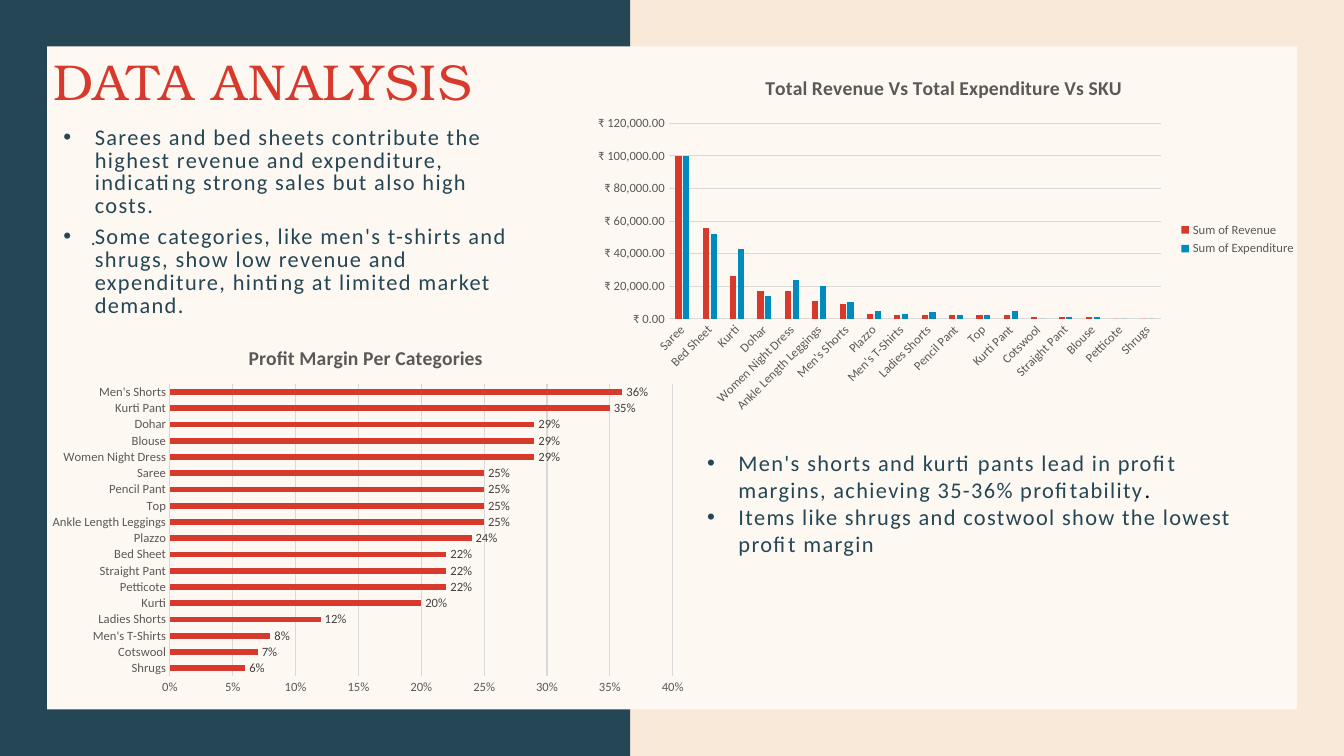
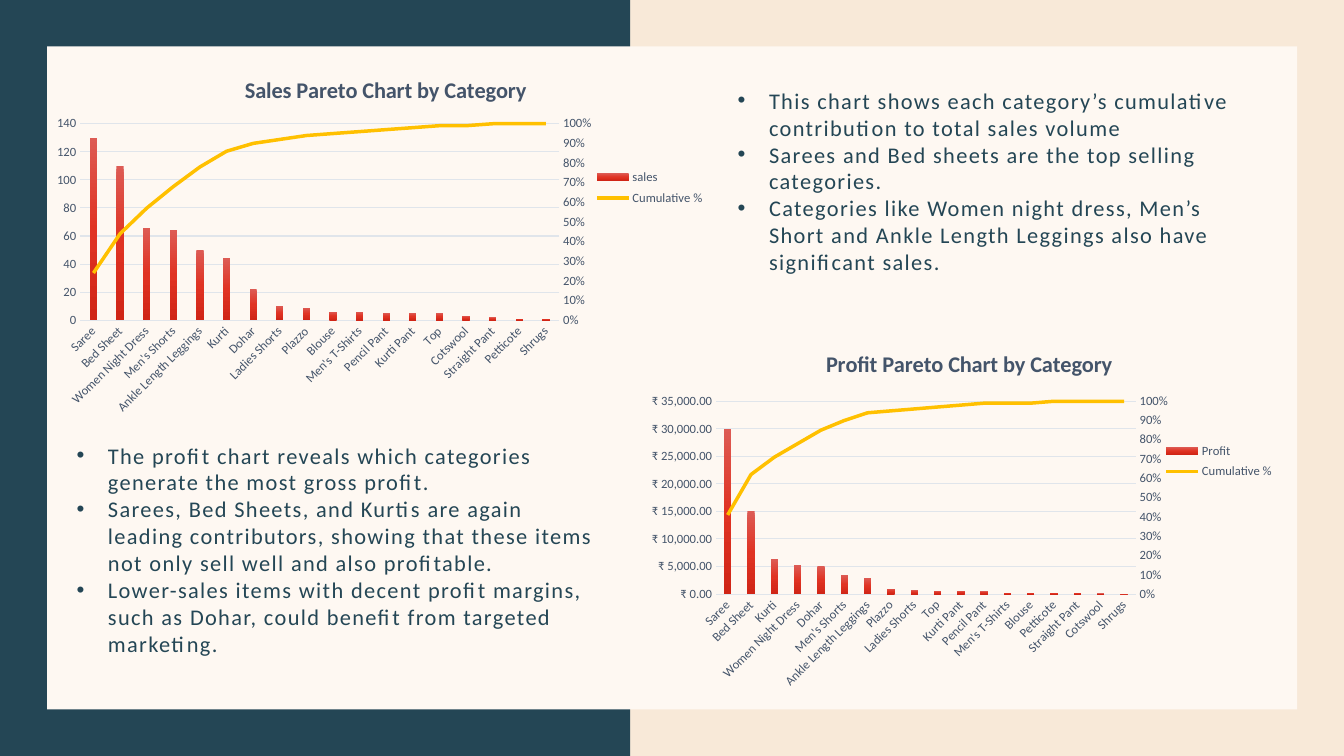
from copy import deepcopy
from dataclasses import dataclass

from pptx import Presentation
from pptx.chart.axis import ValueAxis
from pptx.chart.data import CategoryChartData
from pptx.dml.color import RGBColor
from pptx.enum.chart import (XL_CHART_TYPE, XL_LABEL_POSITION, XL_LEGEND_POSITION,
                             XL_MARKER_STYLE, XL_TICK_MARK)
from pptx.enum.shapes import MSO_SHAPE
from pptx.enum.text import MSO_ANCHOR, MSO_AUTO_SIZE, PP_ALIGN
from pptx.oxml import parse_xml
from pptx.oxml.ns import nsdecls
from pptx.util import Cm, Pt


@dataclass(frozen=True)
class Theme:
    sand: str = "F8E9D8"
    navy: str = "244655"
    cream: str = "FEF8F2"
    red: str = "D73A2C"
    blue: str = "008BBF"
    gold: str = "FFC000"
    black: str = "000000"
    label: str = "404040"
    grey: str = "595959"
    grey_line: str = "D9D9D9"
    slate: str = "44546A"
    slate_line: str = "E0E5EB"
    gradient: tuple = ((0, "DD5B54"), (0.5, "E03323"), (1, "D02516"))
    heading_font: str = "TeX Gyre Bonum"
    body_font: str = "Calibri"
    title_size: int = 36
    body_size: int = 16
    small_size: int = 14
    chart_title_size: int = 14
    pareto_title_size: int = 16
    chart_size: int = 10
    axis_size: int = 9


RUPEES = '"₹"\\ #,##0.00'
PERCENT = "0%"
WIDE_INSETS = (0.33, 0.18)
BOX_INSETS = (0.25, 0.13)


def place(shape, area):
    shape.left, shape.top, shape.width, shape.height = map(Cm, area)


def set_layout(parent, area, anchor=None, inner=False):
    """Give a plot area or legend a fixed place, in fractions of the chart."""
    for old in parent.xpath("c:layout"):
        parent.remove(old)
    target = '<c:layoutTarget val="inner"/>' if inner else ""
    modes = '<c:xMode val="edge"/><c:yMode val="edge"/>'
    values = "".join(f'<c:{key} val="{value}"/>' for key, value in zip("xywh", area))
    layout = parse_xml(f'<c:layout {nsdecls("c")}><c:manualLayout>{target}{modes}'
                       f'{values}</c:manualLayout></c:layout>')
    if anchor is None:
        parent.insert(0, layout)
    else:
        anchor.addnext(layout)


class Builder:
    def __init__(self, theme):
        self.theme = theme
        self.deck = Presentation()
        self.deck.slide_width, self.deck.slide_height = Cm(33.87), Cm(19.05)
        self.page = None

    def new_page(self):
        self.page = self.deck.slides.add_slide(self.deck.slide_layouts[3])

    def draw_master(self):
        """Put the background, side band and panel on the slide master."""
        master = self.deck.slide_master
        master.background.fill.solid()
        master.background.fill.fore_color.rgb = RGBColor.from_string(self.theme.sand)
        bands = (((0, 0, 15.88, 19.05), self.theme.navy),
                 ((1.19, 1.17, 31.5, 16.71), self.theme.cream))
        for position, (area, color) in enumerate(bands, start=2):
            band = self.page.shapes.add_shape(MSO_SHAPE.RECTANGLE, *map(Cm, area))
            band.shadow.inherit = False
            band.fill.solid()
            band.fill.fore_color.rgb = RGBColor.from_string(color)
            band.line.fill.background()
            master.shapes.element.insert(position, band.element)

    # Text
    def style_font(self, font, size, color, name=None, bold=None):
        font.size, font.bold = Pt(size), bold
        font.name = name or self.theme.body_font
        font.color.rgb = RGBColor.from_string(color)

    def add_span(self, para, text, size, color, name=None, spaced=True):
        span = para.add_run()
        span.text = text
        self.style_font(span.font, size, color, name)
        if spaced:
            span.font._element.set("spc", "100")

    def frame(self, box, area, insets, anchor=MSO_ANCHOR.TOP):
        place(box, area)
        frame = box.text_frame
        frame.word_wrap, frame.auto_size = True, MSO_AUTO_SIZE.NONE
        frame.vertical_anchor = anchor
        frame.margin_left = frame.margin_right = Cm(insets[0])
        frame.margin_top = frame.margin_bottom = Cm(insets[1])
        return frame

    def title(self, text, area):
        frame = self.frame(self.page.shapes.title, area, WIDE_INSETS, MSO_ANCHOR.MIDDLE)
        para = frame.paragraphs[0]
        para.alignment = PP_ALIGN.LEFT
        self.add_span(para, text, self.theme.title_size, self.theme.red,
                      self.theme.heading_font)

    def drop_title(self):
        title = self.page.shapes.title.element
        title.getparent().remove(title)

    def note(self, text, area):
        box = self.page.shapes.add_textbox(*map(Cm, area))
        frame = self.frame(box, area, WIDE_INSETS)
        self.add_span(frame.paragraphs[0], text, self.theme.small_size,
                      self.theme.navy, spaced=False)

    def bullets(self, slot, area, items, insets=BOX_INSETS, leading=1.0, after=0):
        """Fill a body placeholder and return its paragraphs."""
        frame = self.frame(self.page.placeholders[slot], area, insets)
        paras = []
        for number, text in enumerate(items):
            para = frame.add_paragraph() if number else frame.paragraphs[0]
            para.line_spacing = leading
            para.space_before, para.space_after = Pt(0), Pt(after)
            properties = para._p.get_or_add_pPr()
            properties.set("marL", str(Cm(0.79)))
            properties.set("indent", str(Cm(-0.79)))
            self.add_span(para, text, self.theme.body_size, self.theme.navy)
            paras.append(para)
        return paras

    # Charts
    def style_axis(self, axis, color, line=None):
        axis.major_tick_mark = axis.minor_tick_mark = XL_TICK_MARK.NONE
        self.style_font(axis.tick_labels.font, self.theme.axis_size, color)
        if line:
            axis.format.line.color.rgb = RGBColor.from_string(line)
            axis.format.line.width = Pt(0.75)
        else:
            axis.format.line.fill.background()

    def style_scale(self, axis, color, number_format, maximum, step):
        self.style_axis(axis, color)
        axis.minimum_scale, axis.maximum_scale, axis.major_unit = 0, maximum, step
        axis.tick_labels.number_format = number_format
        axis.tick_labels.number_format_is_linked = False

    def chart(self, kind, area, title, categories, series, plot_area, scale, gap,
              overlap=None, title_size=None, ink=None, rule=None):
        ink, rule = ink or self.theme.grey, rule or self.theme.grey_line
        data = CategoryChartData()
        data.categories = categories
        for name, values in series:
            data.add_series(name, values)
        chart = self.page.shapes.add_chart(kind, *map(Cm, area), data).chart
        self.style_font(chart.font, self.theme.chart_size, self.theme.black)
        chart.element.xpath("c:chart")[0].addnext(parse_xml(
            f'<c:spPr {nsdecls("c", "a")}><a:noFill/><a:ln><a:noFill/></a:ln></c:spPr>'))
        set_layout(chart.element.xpath("c:chart/c:plotArea")[0], plot_area, inner=True)

        chart.has_title = True
        span = chart.chart_title.text_frame.paragraphs[0].add_run()
        span.text = title
        self.style_font(span.font, title_size or self.theme.chart_title_size, ink, bold=True)
        chart.chart_title.include_in_layout = False

        self.style_axis(chart.category_axis, ink, rule)
        self.style_scale(chart.value_axis, ink, *scale)
        chart.value_axis.has_major_gridlines = True
        grid = chart.value_axis.major_gridlines.format.line
        grid.color.rgb, grid.width = RGBColor.from_string(rule), Pt(0.75)
        if kind == XL_CHART_TYPE.COLUMN_CLUSTERED:
            chart.element.xpath(".//c:catAx/c:txPr/a:bodyPr")[0].set("rot", "-2700000")

        plot = chart.plots[0]
        plot.gap_width, plot.vary_by_categories = gap, False
        if overlap is not None:
            plot.overlap = overlap
        for bars, color in zip(plot.series, (self.theme.red, self.theme.blue)):
            bars.format.fill.solid()
            bars.format.fill.fore_color.rgb = RGBColor.from_string(color)
        chart.has_legend = len(series) > 1
        if chart.has_legend:
            chart.legend.position = XL_LEGEND_POSITION.RIGHT
            chart.legend.include_in_layout = False
            self.style_font(chart.legend.font, self.theme.axis_size, ink)
        return chart

    def value_labels(self, chart):
        plot = chart.plots[0]
        plot.has_data_labels = True
        labels = plot.data_labels
        labels.show_value, labels.position = True, XL_LABEL_POSITION.OUTSIDE_END
        labels.number_format, labels.number_format_is_linked = PERCENT, False
        self.style_font(labels.font, self.theme.axis_size, self.theme.label)

    def pareto(self, area, title, categories, series, plot_area, scale, gap, legend_area):
        """Columns with a cumulative line on a second axis."""
        chart = self.chart(XL_CHART_TYPE.COLUMN_CLUSTERED, area, title, categories, series,
                           plot_area, scale, gap, -27, self.theme.pareto_title_size,
                           self.theme.slate, self.theme.slate_line)
        bars = chart.element.xpath(".//c:barChart")[0]
        cumulative = bars.xpath("c:ser")[1]
        for flag in cumulative.xpath("c:invertIfNegative | c:spPr"):
            cumulative.remove(flag)
        line_chart = parse_xml(
            f'<c:lineChart {nsdecls("c")}><c:grouping val="standard"/>'
            '<c:varyColors val="0"/><c:marker val="1"/>'
            '<c:axId val="5001"/><c:axId val="5002"/></c:lineChart>')
        line_chart.insert(2, cumulative)
        bars.addnext(line_chart)

        # Second pair of axes: hidden categories, percentages on the right
        last_axis = chart.element.xpath(".//c:valAx")[0]
        for tag, own, other, hidden, side, crosses in (
                ("valAx", 5002, 5001, 0, "r", "max"), ("catAx", 5001, 5002, 1, "b", "autoZero")):
            last_axis.addnext(parse_xml(
                f'<c:{tag} {nsdecls("c")}><c:axId val="{own}"/><c:scaling>'
                f'<c:orientation val="minMax"/></c:scaling><c:delete val="{hidden}"/>'
                f'<c:axPos val="{side}"/><c:tickLblPos val="nextTo"/>'
                f'<c:crossAx val="{other}"/><c:crosses val="{crosses}"/></c:{tag}>'))
        right_axis = ValueAxis(chart.element.xpath('.//c:valAx[c:axId/@val="5002"]')[0])
        self.style_scale(right_axis, self.theme.slate, PERCENT, 1, 0.1)

        fill = chart.plots[0].series[0].format.fill
        fill.gradient()
        fill.gradient_angle = 270
        stops = chart.element.xpath(".//a:gsLst")[0]
        stops.insert(1, deepcopy(stops[0]))
        for stop, (position, color) in zip(fill.gradient_stops, self.theme.gradient):
            stop.position, stop.color.rgb = position, RGBColor.from_string(color)
        line = chart.plots[1].series[0]
        line.smooth, line.marker.style = False, XL_MARKER_STYLE.NONE
        line.format.line.color.rgb = RGBColor.from_string(self.theme.gold)
        line.format.line.width = Pt(2.5)
        legend = chart.element.xpath(".//c:legend")[0]
        set_layout(legend, legend_area, legend.xpath("c:legendPos")[0])


def analysis_page(builder):
    builder.new_page()
    builder.draw_master()
    builder.title("DATA ANALYSIS", (1.01, 1.01, 11.63, 2.01))
    builder.note(".", (1.96, 5.51, 10.03, 1.47))
    builder.chart(
        XL_CHART_TYPE.COLUMN_CLUSTERED, (14.66, 1.47, 18.26, 9.12),
        "Total Revenue Vs Total Expenditure Vs SKU",
        ["Saree", "Bed Sheet", "Kurti", "Dohar", "Women Night Dress", "Ankle Length Leggings",
         "Men's Shorts", "Plazzo", "Men's T-Shirts", "Ladies Shorts", "Pencil Pant", "Top",
         "Kurti Pant", "Cotswool", "Straight Pant", "Blouse", "Petticote", "Shrugs"],
        [("Sum of Revenue", [100000, 56000, 26000, 17000, 17000, 11000, 9000, 3000, 2000,
                             2000, 2000, 2000, 2000, 1000, 1000, 1000, 0, 0]),
         ("Sum of Expenditure", [100000, 52000, 43000, 14000, 24000, 20000, 10000, 5000, 3000,
                                 4000, 2000, 2000, 5000, 0, 1000, 1000, 0, 0])],
        (0.12, 0.18, 0.68, 0.54), (RUPEES, 120000, 20000), 219, -27)
    margins = builder.chart(
        XL_CHART_TYPE.BAR_CLUSTERED, (0.99, 8.26, 16.46, 9.45), "Profit Margin Per Categories",
        ["Shrugs", "Cotswool", "Men's T-Shirts", "Ladies Shorts", "Kurti", "Petticote",
         "Straight Pant", "Bed Sheet", "Plazzo", "Ankle Length Leggings", "Top", "Pencil Pant",
         "Saree", "Women Night Dress", "Blouse", "Dohar", "Kurti Pant", "Men's Shorts"],
        [("Series 1", [0.06, 0.07, 0.08, 0.12, 0.2, 0.22, 0.22, 0.22, 0.24, 0.25, 0.25, 0.25,
                       0.25, 0.29, 0.29, 0.29, 0.35, 0.36])],
        (0.2, 0.15, 0.77, 0.78), (PERCENT, 0.4, 0.05), 182)
    builder.value_labels(margins)
    builder.bullets(1, (1.27, 3.02, 12.42, 4.95), [
        "Sarees and bed sheets contribute the highest revenue and expenditure, "
        "indicating strong sales but also high costs.",
        "Some categories, like men's t-shirts and shrugs, show low revenue and "
        "expenditure, hinting at limited market demand."], WIDE_INSETS, 0.85, 6)
    paras = builder.bullets(2, (17.57, 11.19, 14.22, 3), [
        "Men's shorts and kurti pants lead in profit margins, achieving 35-36% profitability",
        "Items like shrugs and costwool show the lowest profit margin"])
    builder.add_span(paras[0], ".", builder.theme.body_size, builder.theme.black, spaced=False)


def pareto_page(builder):
    builder.new_page()
    builder.drop_title()
    builder.pareto(
        (0.97, 1.47, 17.5, 9.17), "Sales Pareto Chart by Category",
        ["Saree", "Bed Sheet", "Women Night Dress", "Men's Shorts", "Ankle Length Leggings",
         "Kurti", "Dohar", "Ladies Shorts", "Plazzo", "Blouse", "Men's T-Shirts", "Pencil Pant",
         "Kurti Pant", "Top", "Cotswool", "Straight Pant", "Petticote", "Shrugs"],
        [("sales", [130, 110, 66, 64, 50, 44, 22, 10, 9, 6, 6, 5, 5, 5, 3, 2, 1, 1]),
         ("Cumulative %", [0.24, 0.44, 0.57, 0.68, 0.78, 0.86, 0.9, 0.92, 0.94, 0.95, 0.96,
                           0.97, 0.98, 0.99, 0.99, 1, 1, 1])],
        (0.06, 0.18, 0.69, 0.54), ("General", 140, 20), 269, (0.79, 0.29, 0.18, 0.13))
    builder.pareto(
        (16.03, 8.37, 16.79, 9.17), "Profit Pareto Chart by Category",
        ["Saree", "Bed Sheet", "Kurti", "Women Night Dress", "Dohar", "Men's Shorts",
         "Ankle Length Leggings", "Plazzo", "Ladies Shorts", "Top", "Kurti Pant", "Pencil Pant",
         "Men's T-Shirts", "Blouse", "Petticote", "Straight Pant", "Cotswool", "Shrugs"],
        [("Profit", [30000, 15000, 6300, 5200, 5100, 3400, 2900, 1000, 700, 600, 600, 500,
                     200, 200, 200, 200, 100, 0]),
         ("Cumulative %", [0.41, 0.62, 0.71, 0.78, 0.85, 0.9, 0.94, 0.95, 0.96, 0.97, 0.98,
                           0.99, 0.99, 0.99, 1, 1, 1, 1])],
        (0.12, 0.19, 0.63, 0.53), (RUPEES, 35000, 5000), 219, (0.78, 0.29, 0.19, 0.13))
    builder.bullets(1, (18.34, 2.06, 13.21, 5.74), [
        "This chart shows each category’s cumulative contribution to total sales volume",
        "Sarees and Bed sheets are the top selling categories.",
        "Categories like Women night dress, Men’s Short and Ankle Length Leggings "
        "also have significant sales."])
    builder.bullets(2, (1.68, 11, 13.77, 5.74), [
        "The profit chart reveals which categories generate the most gross profit.",
        "Sarees, Bed Sheets, and Kurtis are again leading contributors, showing that "
        "these items not only sell well and also profitable.",
        "Lower-sales items with decent profit margins, such as Dohar, could benefit "
        "from targeted marketing."])


def main():
    builder = Builder(Theme())
    analysis_page(builder)
    pareto_page(builder)
    builder.deck.save("out.pptx")


if __name__ == "__main__":
    main()
